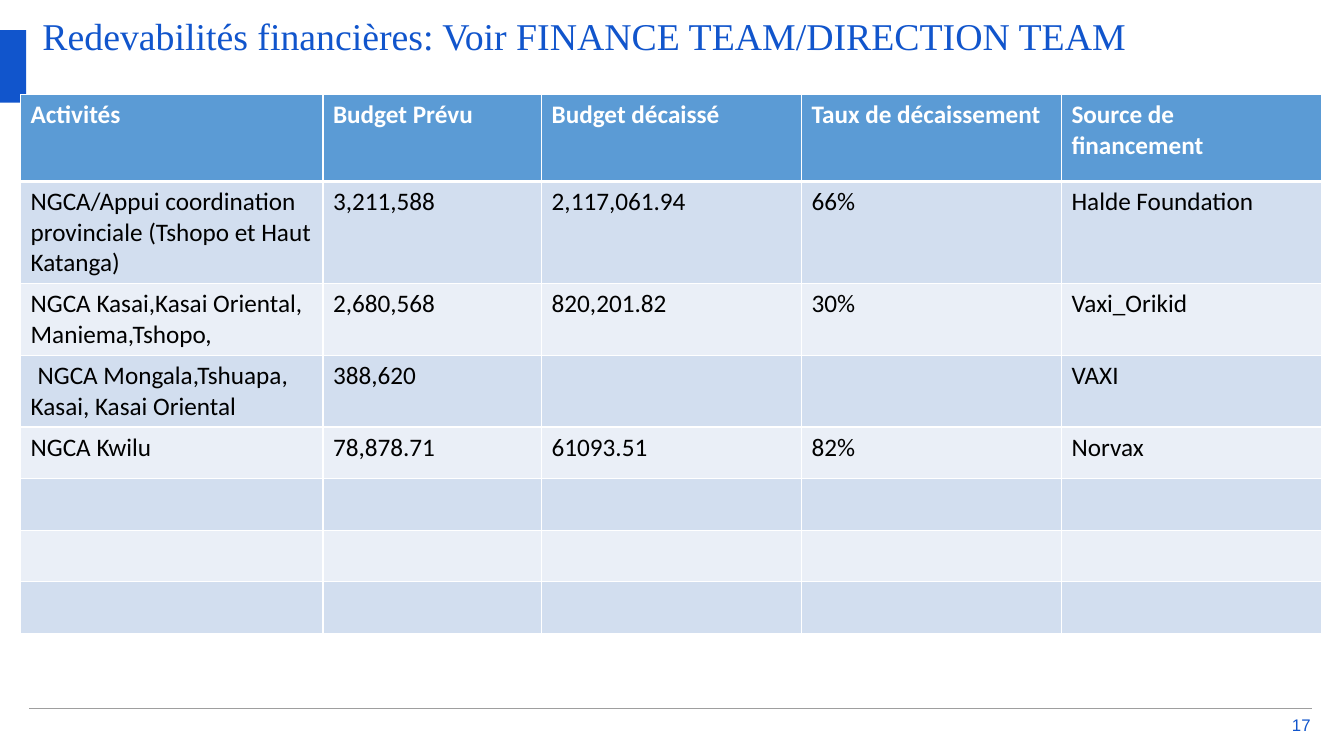
from dataclasses import dataclass

from lxml.etree import SubElement as Sub
from pptx import Presentation as Deck
from pptx.dml.color import RGBColor as Rgb
from pptx.enum.shapes import MSO_CONNECTOR as Link, MSO_SHAPE as Form
from pptx.enum.text import MSO_ANCHOR as Anchor, MSO_AUTO_SIZE as Fit, PP_ALIGN as Align
from pptx.oxml.ns import qn
from pptx.util import Cm, Pt

HUES = {"blue": "1155CC", "head": "5B9BD5", "odd": "D2DEEF", "even": "EAEFF7",
        "white": "FFFFFF", "black": "000000", "gray": "9E9E9E"}
WIDTHS = (7.62, 5.51, 6.55, 6.55, 6.56)
HEAD_HIGH, ROW_HIGH = 2.18, 1.3


@dataclass
class Style:
    font: str
    size: float
    hue: str
    bold: bool = False


@dataclass
class Row:
    cells: tuple[str, ...] = ("",) * len(WIDTHS)
    lead: str = ""


TITLE = Style("Times New Roman", 27, "blue")
NUMBER = Style("Arial", 12, "blue")
HEAD = Style("Calibri", 18, "white", True)
BODY = Style("Calibri", 18, "black")
LEAD = Style("Arial", 18, "black")

ROWS = [
    Row(("Activités", "Budget Prévu", "Budget décaissé",
         "Taux de décaissement", "Source de financement")),
    Row(("NGCA/Appui coordination provinciale (Tshopo et Haut Katanga)",
         "3,211,588", "2,117,061.94", "66%", "Halde Foundation")),
    Row(("NGCA Kasai,Kasai Oriental, Maniema,Tshopo,",
         "2,680,568", "820,201.82", "30%", "Vaxi_Orikid")),
    Row(("NGCA Mongala,Tshuapa, Kasai, Kasai Oriental",
         "388,620", "", "", "VAXI"), lead=" "),
    Row(("NGCA Kwilu", "78,878.71", "61093.51", "82%", "Norvax")),
    Row(), Row(), Row(),
]


def tint(hue: str) -> Rgb:
    return Rgb.from_string(HUES[hue])


def add_run(par, text: str, style: Style) -> None:
    run = par.add_run()
    run.text = text
    font = run.font
    font.name, font.size, font.bold = style.font, Pt(style.size), style.bold
    font.color.rgb = tint(style.hue)


def set_frame(frame, text: str, style: Style, align: Align, anchor: Anchor) -> None:
    frame.word_wrap = True
    frame.auto_size = Fit.NONE
    frame.vertical_anchor = anchor
    frame.margin_left = frame.margin_right = frame.margin_top = frame.margin_bottom = 0
    par = frame.paragraphs[0]
    par.alignment = align
    add_run(par, text, style)


def add_edges(cell, low: float) -> None:
    props = cell._tc.get_or_add_tcPr()
    for side, wide in (("L", 1), ("R", 1), ("T", 1), ("B", low)):
        edge = Sub(props, qn(f"a:ln{side}"), w=str(Pt(wide)))
        fill = Sub(edge, qn("a:solidFill"))
        Sub(fill, qn("a:srgbClr"), val=HUES["white"])


def add_grid(slide) -> None:
    high = HEAD_HIGH + ROW_HIGH * (len(ROWS) - 1)
    grid = slide.shapes.add_table(len(ROWS), len(WIDTHS), Cm(0.52), Cm(2.39),
                                  Cm(sum(WIDTHS)), Cm(high)).table
    for col, wide in zip(grid.columns, WIDTHS):
        col.width = Cm(wide)
    for i, row in enumerate(ROWS):
        grid.rows[i].height = Cm(ROW_HIGH if i else HEAD_HIGH)
        hue = ("odd" if i % 2 else "even") if i else "head"
        for j, text in enumerate(row.cells):
            cell = grid.cell(i, j)
            add_edges(cell, 1 if i else 3)
            cell.fill.solid()
            cell.fill.fore_color.rgb = tint(hue)
            par = cell.text_frame.paragraphs[0]
            if j == 0 and row.lead:
                add_run(par, row.lead, LEAD)
            if text:
                add_run(par, text, BODY if i else HEAD)
            else:
                par.font.size = Pt(BODY.size)


def main() -> None:
    deck = Deck()
    deck.slide_width, deck.slide_height = Cm(33.87), Cm(19.05)
    slide = deck.slides.add_slide(deck.slide_layouts[5])
    shapes = slide.shapes

    # Title
    title = shapes.title
    title.left, title.top, title.width, title.height = Cm(1.07), Cm(0.33), Cm(31.32), Cm(2.03)
    set_frame(title.text_frame, "Redevabilités financières: Voir FINANCE TEAM/DIRECTION TEAM",
              TITLE, Align.LEFT, Anchor.TOP)

    # Side tab
    tab = shapes.add_shape(Form.RECTANGLE, 0, Cm(0.76), Cm(0.66), Cm(1.83))
    tab.shadow.inherit = False
    tab.fill.solid()
    tab.fill.fore_color.rgb = tint("blue")
    tab.line.fill.background()

    # Page number and foot rule
    page = shapes.add_textbox(Cm(32.39), Cm(18.03), Cm(0.64), Cm(0.46))
    set_frame(page.text_frame, "17", NUMBER, Align.RIGHT, Anchor.MIDDLE)
    rule = shapes.add_connector(Link.STRAIGHT, Cm(0.74), Cm(17.86), Cm(33.07), Cm(17.86))
    rule.line.color.rgb = tint("gray")
    rule.line.width = Pt(1)
    Sub(rule._element.spPr, qn("a:effectLst"))

    # Budget table
    add_grid(slide)
    deck.save("out.pptx")


if __name__ == "__main__":
    main()
